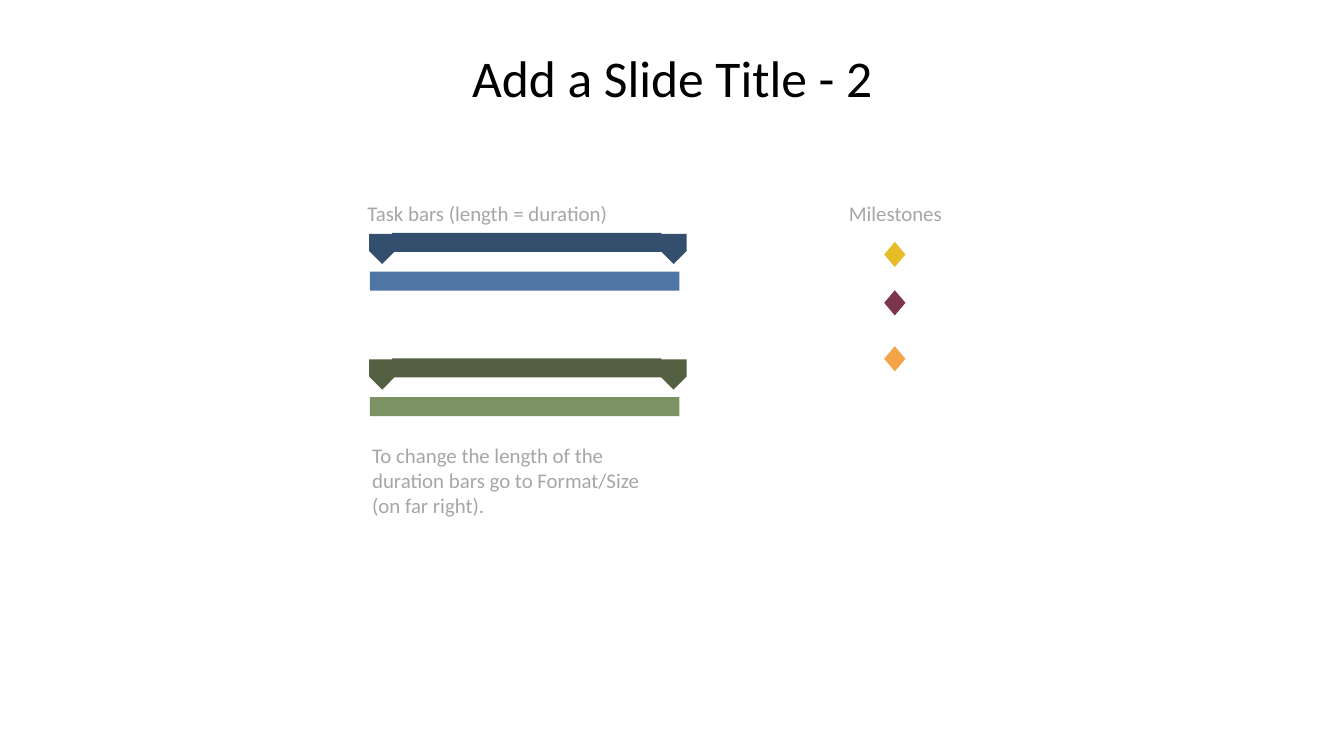
import pptx
import pptx.util
import pptx.dml.color
import pptx.enum.shapes
import pptx.enum.text

# Theme: colours and type sizes
theme = {
    "font": "Calibri",
    "title": (36.8, "000000"),
    "label": (14.9, "A6A6A6"),
    "tasks": [("344E6D", "4E75A3"), ("536142", "7D9263")],
    "stones": ["E7BC29", "7C354D", "F3A447"],
}
kinds = pptx.enum.shapes.MSO_SHAPE
align = pptx.enum.text.PP_ALIGN
anchor = pptx.enum.text.MSO_ANCHOR
rgb = pptx.dml.color.RGBColor.from_string
inch = pptx.util.Inches

deck = pptx.Presentation()
deck.slide_width, deck.slide_height = inch(13.33), inch(7.5)
slide = deck.slides.add_slide(deck.slide_layouts[6])
# The grid has 100 columns and 100 rows
col, row = deck.slide_width / 100, deck.slide_height / 100


def draw(kind, left, top, wide, high, fill, turn=0):
    shape = slide.shapes.add_shape(
        kind, int(left * col), int(top * row), int(wide * col), int(high * row))
    shape.shadow.inherit = False
    shape.fill.solid()
    shape.fill.fore_color.rgb = rgb(fill)
    shape.line.fill.background()
    shape.rotation = turn


def write(text, left, top, wide, high, style, side, pad=0.13, hold=anchor.TOP):
    box = slide.shapes.add_textbox(
        int(left * col), int(top * row), int(wide * col), int(high * row))
    frame = box.text_frame
    frame.word_wrap = True
    frame.vertical_anchor = hold
    frame.margin_left = frame.margin_right = inch(pad)
    frame.margin_top = frame.margin_bottom = inch(pad / 2)
    para = frame.paragraphs[0]
    para.text = text
    para.alignment = side
    size, ink = theme[style]
    para.font.name = theme["font"]
    para.font.size = pptx.util.Pt(size)
    para.font.color.rgb = rgb(ink)


# Title
write("Add a Slide Title - 2", 20.71, 4.53, 58.66, 11.2,
      "title", align.CENTER, 0.16, anchor.MIDDLE)

# Column labels
write("Task bars (length = duration)", 25.81, 25.73, 20.86, 5.07,
      "label", align.CENTER)
write("Milestones", 57.54, 25.73, 18.15, 5.07, "label", align.CENTER)

# Task groups: summary bar with two end points, then a duration bar
for i, (dark, light) in enumerate(theme["tasks"]):
    top = 30.8 + i * 16.6
    draw(kinds.RECTANGLE, 29.18, top, 20.03, 2.53, dark)
    for left in (27.31, 48.99):
        draw(kinds.PENTAGON, left, top + 0.4, 2.25, 3.47, dark, 90)
    draw(kinds.RECTANGLE, 27.53, top + 5.13, 23.03, 2.53, light)

# Hint below the bars
write("To change the length of the duration bars go to Format/Size (on far right).",
      26.71, 57.73, 23.33, 11.73, "label", align.LEFT)

# Milestone diamonds
for top, fill in zip((32, 38.4, 45.8), theme["stones"]):
    draw(kinds.FLOWCHART_DECISION, 65.79, top, 1.58, 3.33, fill)

deck.save("out.pptx")
